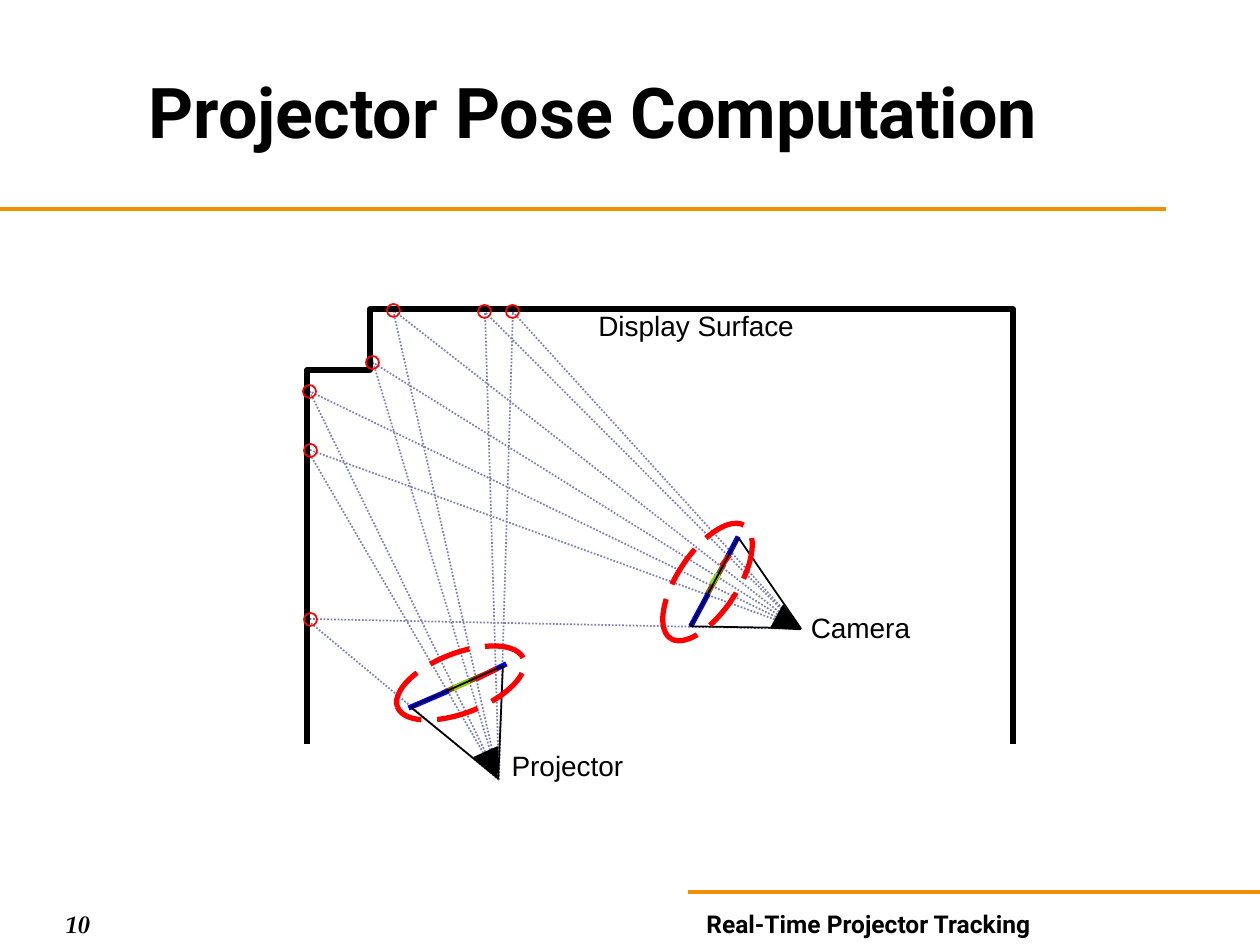
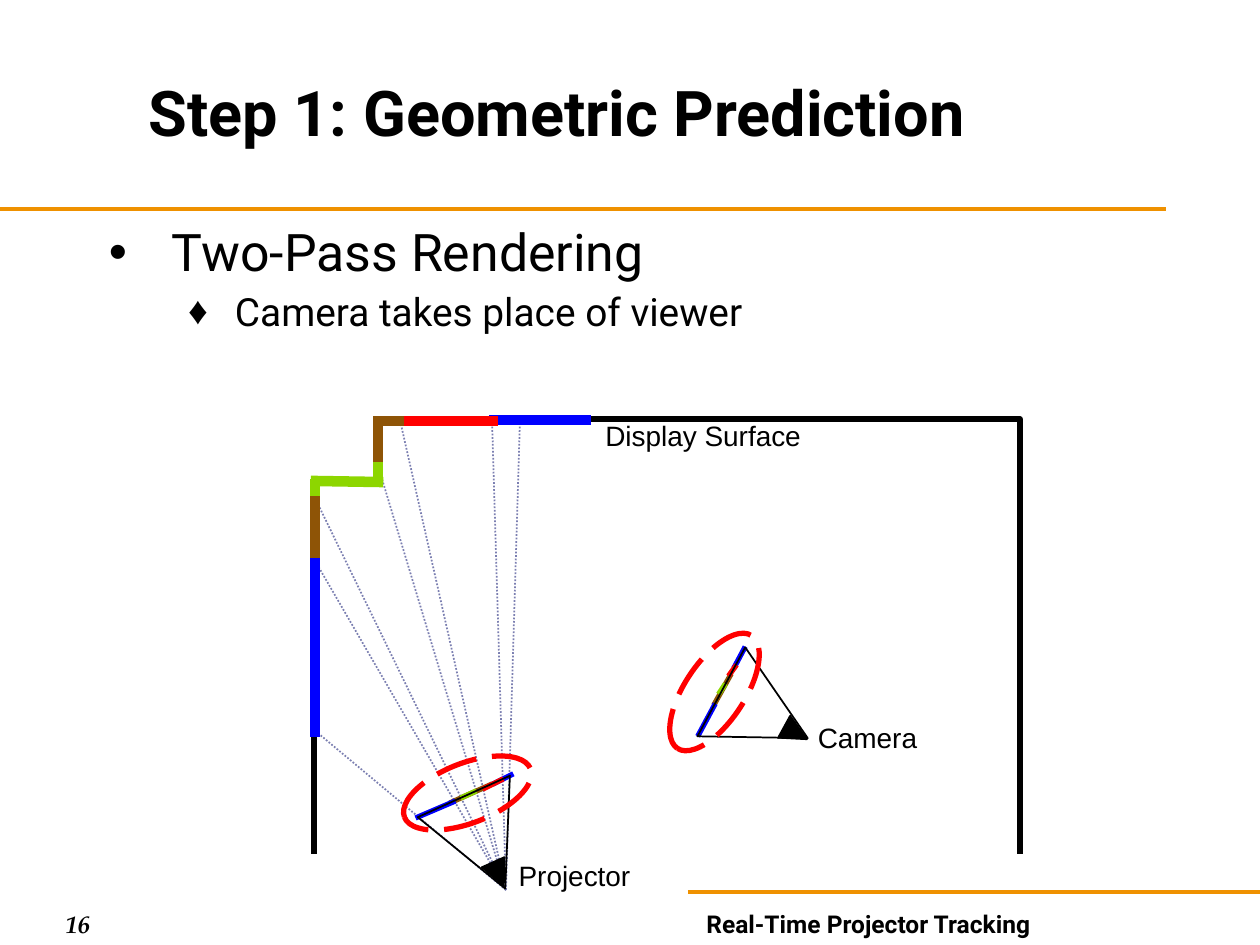
import pptx
import pptx.dml.color
import pptx.enum.dml
import pptx.enum.shapes
import pptx.enum.text
import pptx.oxml.ns
import pptx.util
from lxml import etree

SCALE = 914400 / 126
COLORS = {
    "black": "000000", "orange": "EF9100", "ray": "7B7FB1", "red": "FF0000",
    "blue": "0000FF", "green": "8DD600", "brown": "8E5406",
}
HEADING, LABEL, NUMBER = "Roboto", "Arial", "TeX Gyre Pagella"
SHAPES = pptx.enum.shapes.MSO_SHAPE
ALIGN = pptx.enum.text.PP_ALIGN
ANCHOR = pptx.enum.text.MSO_ANCHOR
DASH = pptx.enum.dml.MSO_LINE

FOOTER = "Real-Time Projector Tracking"
TITLE_AREA = (136, 53, 1018, 116)
BODY_AREA = (84, 220, 1041, 136)
RULES = [((0, 209), (1166, 209)), ((688, 892), (1260, 892))]
FOOTER_AREAS = {"number": (53, 903, 200, 47), "name": (694, 903, 500, 47)}

PAGES = [
    {"title": "Projector Pose Computation", "size": 40, "number": "10",
     "bullets": [], "shift": (0, 0), "camera_rays": True, "painted": False},
    {"title": "Step 1: Geometric Prediction", "size": 36, "number": "16",
     "bullets": [("Two-Pass Rendering", 0), ("Camera takes place of viewer", 1)],
     "shift": (7, 110), "camera_rays": False, "painted": True},
]
BULLETS = [
    {"mark": "•", "size": 29.6, "margin": 63, "hang": 63, "before": 0},
    {"mark": "♦", "size": 22.2, "margin": 126, "hang": 47, "before": 6},
]

SURFACE = [(307, 741), (307, 370), (370, 370), (370, 309), (1013, 309), (1013, 741)]
CAMERA_APEX, PROJECTOR_APEX = (801, 629), (499, 780)
FEATURES = [(512, 311), (484, 311), (393, 310), (372, 362), (309, 391), (310, 450), (310, 619)]
PROJECTED = [(513, 309), (485, 309), (393, 310), (372, 359), (307, 386), (307, 449), (306, 619)]
PAINT = [
    ("blue", (579, 310), (487, 310)), ("red", (486, 311), (395, 311)),
    ("green", (371, 352), (371, 371)), ("brown", (392, 311), (372, 311)),
    ("brown", (371, 311), (371, 347)), ("green", (371, 372), (309, 371)),
    ("brown", (308, 385), (308, 453)), ("green", (308, 374), (308, 381)),
    ("blue", (308, 622), (308, 453)),
]
SENSORS = [
    ("brown", (483, 675), (445, 692)), ("blue", (504, 665), (488, 673)),
    ("red", (494, 670), (478, 678)), ("green", (467, 682), (456, 687)),
    ("blue", (446, 692), (411, 707)),
    ("brown", (723, 566), (708, 593)), ("blue", (737, 539), (728, 556)),
    ("red", (728, 557), (723, 564)), ("green", (717, 576), (713, 582)),
    ("blue", (707, 596), (692, 624)),
]
LABELS = [
    ("Display Surface", (586, 302, 227, 47), ALIGN.LEFT),
    ("Camera", (781, 604, 159, 47), ALIGN.CENTER),
    ("Projector", (488, 742, 159, 47), ALIGN.CENTER),
]
FRUSTUMS = [((707, 556, 101, 98), 118.2), ((427, 682, 101, 101), 155.8)]
EYES = [((776, 610, 25, 26), 118.7), ((479, 751, 25, 26), 155.9)]
HIGHLIGHTS = [((393, 653, 135, 60), 339), ((640, 552, 135, 60), 303.3)]


def emu(*lengths):
    return [round(length * SCALE) for length in lengths]


def rgb(name):
    return pptx.dml.color.RGBColor.from_string(COLORS[name])


def moved(place, shift):
    return (place[0] + shift[0], place[1] + shift[1], *place[2:])


def element(parent, tag, **values):
    return etree.SubElement(parent, pptx.oxml.ns.qn(tag), **values)


def pen(line, color, width, dash=None, square=False):
    line.color.rgb = rgb(color)
    line.width = pptx.util.Pt(width)
    if dash:
        line.dash_style = dash
    if square:
        line._get_or_add_ln().set("cap", "sq")


def write(frame, text, size, font=HEADING, bold=False, italic=False, align=ALIGN.LEFT, bullet=None):
    para = frame.paragraphs[0] if not frame.text else frame.add_paragraph()
    para.add_run().text = text
    para.alignment = align
    para.space_before = para.space_after = pptx.util.Pt(0)
    if bullet:
        para.space_before = pptx.util.Pt(bullet["before"])
        para.line_spacing = 0.9
        properties = para._p.get_or_add_pPr()
        margin, hang = emu(bullet["margin"], bullet["hang"])
        properties.set("marL", str(margin))
        properties.set("indent", str(-hang))
        element(element(properties, "a:buClr"), "a:srgbClr", val=COLORS["black"])
        element(properties, "a:buFont", typeface=LABEL)
        element(properties, "a:buChar", char=bullet["mark"])
    span = para.runs[0].font
    span.name, span.size, span.bold, span.italic = font, pptx.util.Pt(size), bold, italic
    span.color.rgb = rgb("black")
    return para


def place_holder(box, area, anchor):
    box.left, box.top, box.width, box.height = emu(*area)
    frame = box.text_frame
    frame.auto_size = pptx.enum.text.MSO_AUTO_SIZE.NONE
    frame.vertical_anchor = anchor
    return frame


def add_label(page, text, area, size, **style):
    frame = page.shapes.add_textbox(*emu(*area)).text_frame
    frame.word_wrap = True
    write(frame, text, size, **style)


def add_line(page, start, end, color, width, **style):
    line = page.shapes.add_connector(
        pptx.enum.shapes.MSO_CONNECTOR.STRAIGHT, *emu(*start, *end))
    pen(line.line, color, width, **style)
    element(line._element.spPr, "a:effectLst")


def add_outline(page, kind, area, color, width, rotation=0, filled=False, dash=None):
    shape = page.shapes.add_shape(kind, *emu(*area))
    shape.rotation = rotation
    shape.shadow.inherit = False
    if filled:
        shape.fill.solid()
        shape.fill.fore_color.rgb = rgb(color)
    else:
        shape.fill.background()
    pen(shape.line, color, width, dash)


def add_rays(page, apex, targets, shift):
    for target in targets:
        add_line(page, moved(apex, shift), moved(target, shift), "ray", 1, dash=DASH.ROUND_DOT)


def add_strips(page, strips, width, shift):
    for color, start, end in strips:
        add_line(page, moved(start, shift), moved(end, shift), color, width, square=True)


def add_surface(page, shift):
    corners = [moved(corner, shift) for corner in SURFACE]
    builder = page.shapes.build_freeform(*corners[0], scale=SCALE)
    builder.add_line_segments(corners[1:], close=False)
    surface = builder.convert_to_shape()
    surface.shadow.inherit = False
    surface.fill.background()
    pen(surface.line, "black", 3, square=True)


def draw_scene(page, shift, camera_rays, painted):
    if camera_rays:
        add_rays(page, CAMERA_APEX, FEATURES, shift)
    add_rays(page, PROJECTOR_APEX, PROJECTED, shift)
    add_surface(page, shift)
    if painted:
        add_strips(page, PAINT, 6, shift)
    add_strips(page, SENSORS, 3, shift)
    for text, area, align in LABELS:
        add_label(page, text, moved(area, shift), 16, font=LABEL, align=align)
    for places, filled in ((FRUSTUMS, False), (EYES, True)):
        for area, angle in places:
            add_outline(page, SHAPES.ISOSCELES_TRIANGLE, moved(area, shift), "black", 1, angle, filled)
    for area, angle in HIGHLIGHTS:
        add_outline(page, SHAPES.OVAL, moved(area, shift), "red", 3, angle, dash=DASH.LONG_DASH)
    if camera_rays:
        for x, y in FEATURES:
            add_outline(page, SHAPES.OVAL, moved((x - 6, y - 6, 13, 13), shift), "red", 1)


def add_page(deck, content):
    page = deck.slides.add_slide(deck.slide_layouts[1 if content["bullets"] else 5])
    frame = place_holder(page.shapes.title, TITLE_AREA, ANCHOR.MIDDLE)
    write(frame, content["title"], content["size"], bold=True)
    if content["bullets"]:
        frame = place_holder(page.placeholders[1], BODY_AREA, ANCHOR.TOP)
        frame.margin_left = emu(25)[0]
        for text, level in content["bullets"]:
            bullet = BULLETS[level]
            write(frame, text, bullet["size"], bullet=bullet).level = level
    for start, end in RULES:
        add_line(page, start, end, "orange", 2)
    add_label(page, content["number"], FOOTER_AREAS["number"], 14, font=NUMBER, bold=True, italic=True)
    add_label(page, FOOTER, FOOTER_AREAS["name"], 14, bold=True)
    draw_scene(page, content["shift"], content["camera_rays"], content["painted"])


def main():
    """Build the projector tracking slides."""
    deck = pptx.Presentation()
    deck.slide_width, deck.slide_height = emu(1260, 945)
    for content in PAGES:
        add_page(deck, content)
    deck.save("out.pptx")


if __name__ == "__main__":
    main()
